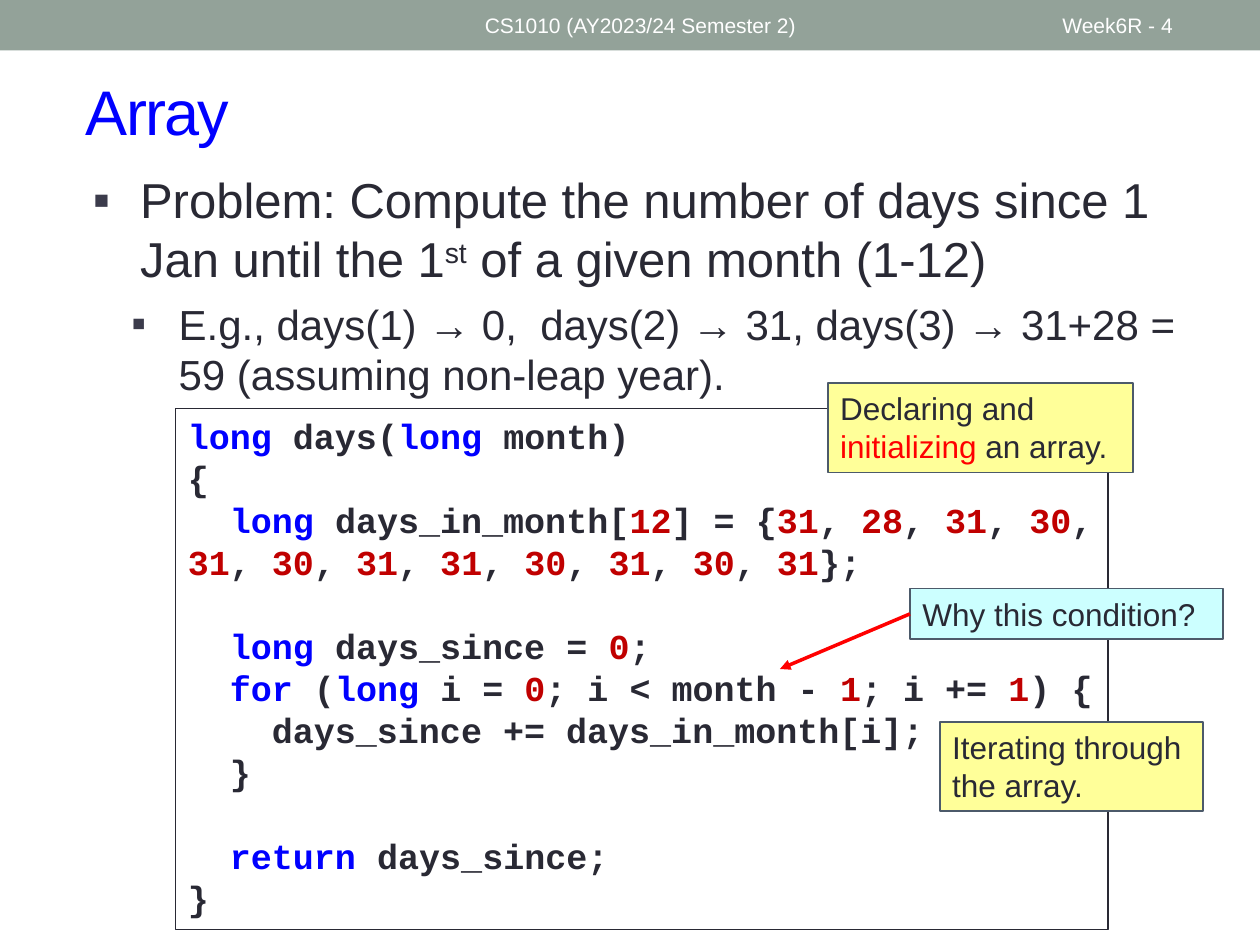
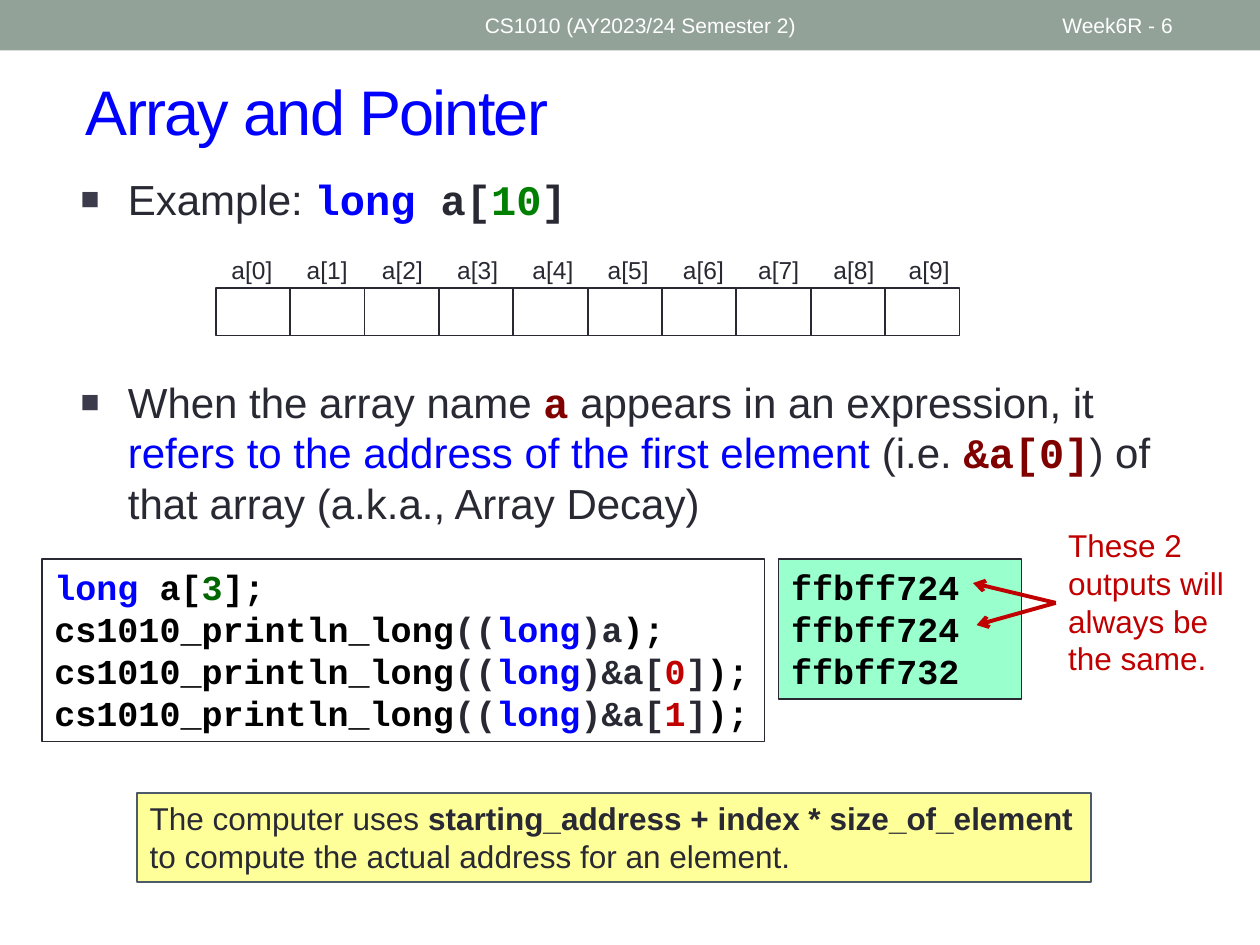
import pptx
import pptx.dml.color
import pptx.enum.shapes
import pptx.enum.text
import pptx.oxml
import pptx.oxml.ns
import pptx.util
from lxml import etree

Pt = pptx.util.Pt
qn = pptx.oxml.ns.qn
SHAPE = pptx.enum.shapes.MSO_SHAPE
ANCHOR = pptx.enum.text.MSO_ANCHOR
ALIGN = pptx.enum.text.PP_ALIGN

COLORS = {
    "band": "93A299", "white": "FFFFFF", "black": "000000", "ink": "292934",
    "bullet": "3B3B4B", "blue": "0000FF", "red": "FF0000", "crimson": "C00000",
    "maroon": "800000", "green": "008000", "dark green": "006600",
    "yellow": "FFFF99", "cyan": "CCFFFF", "mint": "99FFCC", "slate": "4C5A6A",
}

# Base formats of whole text blocks
TITLE = {"name": "Arial", "size": 36, "color": "blue", "spc": -100}
HEADER = {"name": "Arial", "size": 12, "color": "white"}
BODY = {"name": "Arial", "size": 24, "color": "ink"}
NOTE = {"name": "Arial", "size": 18, "color": "ink"}
LABEL = {"name": "Arial", "size": 14, "color": "ink"}
CODE = {"name": "Courier New", "size": 20, "bold": True, "color": "ink"}
MONO = {"name": "Courier New", "bold": True}

# Formats of marked runs: "key~text" between "|" signs
MARKS = {
    "k": {"color": "blue"}, "n": {"color": "crimson"}, "r": {"color": "red"},
    "g": {"color": "dark green"}, "x": {"color": "black"},
    "b": {"bold": True}, "sup": {"baseline": 30000},
    "mk": {**MONO, "color": "blue"}, "md": MONO,
    "mg": {**MONO, "color": "green"}, "mm": {**MONO, "color": "maroon"},
}
CODE_LINE = 24


def rgb(name):
    return pptx.dml.color.RGBColor.from_string(COLORS[name])


class Deck:
    """Holds the shared style and the current slide."""

    def __init__(self):
        self.prs = pptx.Presentation()
        self.prs.slide_width, self.prs.slide_height = Pt(720), Pt(540)
        self.s = None

    def slide(self, title, number):
        self.s = self.prs.slides.add_slide(self.prs.slide_layouts[6])
        self.box((0, 0, 720, 28.8), fill="band")
        self.text((42, 30.2, 660, 66.2), [title], TITLE, anchor=ANCHOR.MIDDLE)
        for at, words in (((270, 1.4, 324, 26), "CS1010 (AY2023/24 Semester 2)"),
                          ((600, 1.4, 84, 26), f"Week6R - {number}")):
            self.text(at, [words], HEADER, anchor=ANCHOR.MIDDLE)

    def runs(self, p, marked, base):
        for part in marked.split("|"):
            key, tilde, words = part.rpartition("~")
            r = p.add_run()
            r.text = words
            fmt = {**base, **MARKS.get(key, {})}
            r.font.color.rgb = rgb(fmt.pop("color"))
            r.font.size = Pt(fmt.pop("size"))
            for name in ("spc", "baseline"):
                if name in fmt:
                    r._r.get_or_add_rPr().set(name, str(fmt.pop(name)))
            for name, value in fmt.items():
                setattr(r.font, name, value)

    def fill_text(self, sp, lines, base, anchor=ANCHOR.TOP, align=ALIGN.LEFT, wrap=True):
        tf = sp.text_frame
        for name, value in {"word_wrap": wrap, "vertical_anchor": anchor}.items():
            setattr(tf, name, value)
        gap = 0
        p = None
        for line in lines:
            if not line:
                gap += CODE_LINE
                continue
            p = tf.add_paragraph() if p is not None else tf.paragraphs[0]
            p.alignment = align
            if gap:
                p.space_before = Pt(gap)
            gap = 0
            self.runs(p, line, base)

    def text(self, at, lines, base, **layout):
        sp = self.s.shapes.add_textbox(*map(Pt, at))
        self.fill_text(sp, lines, base, **layout)
        return sp

    def box(self, at, lines=(), base=NOTE, fill=None, line=None, width=1):
        sp = self.s.shapes.add_shape(SHAPE.RECTANGLE, *map(Pt, at))
        sp.shadow.inherit = False
        if fill:
            sp.fill.solid()
            sp.fill.fore_color.rgb = rgb(fill)
        else:
            sp.fill.background()
        if line:
            sp.line.color.rgb = rgb(line)
            sp.line.width = Pt(width)
        else:
            sp.line.fill.background()
        if lines:
            self.fill_text(sp, lines, base)
        return sp

    def note(self, at, words, fill="yellow"):
        return self.box(at, [words], fill=fill, line="slate")

    def code(self, at, lines, fill=None, base=CODE):
        return self.box(at, lines, base, fill=fill, line="ink", width=0.75)

    def bullets(self, at, items, char, percent=100):
        """Each item is (left margin, size, marked text)."""
        sp = self.s.shapes.add_textbox(*map(Pt, at))
        tf = sp.text_frame
        tf.word_wrap = True
        for i, (margin, size, marked) in enumerate(items):
            p = tf.add_paragraph() if i else tf.paragraphs[0]
            pPr = p._p.get_or_add_pPr()
            pPr.set("marL", str(Pt(margin)))
            pPr.set("indent", str(Pt(-27)))
            color = etree.SubElement(pPr, qn("a:buClr"))
            etree.SubElement(color, qn("a:srgbClr")).set("val", COLORS["bullet"])
            etree.SubElement(pPr, qn("a:buSzPct")).set("val", str(percent * 1000))
            etree.SubElement(pPr, qn("a:buFont")).set("typeface", "Arial")
            etree.SubElement(pPr, qn("a:buChar")).set("char", char)
            if i:
                p.space_before = Pt(6)
            self.runs(p, marked, {**BODY, "size": size})

    def arrow(self, sp, end, color, width, head):
        """Arrow from the middle of the left side of sp."""
        c = self.s.shapes.add_connector(
            pptx.enum.shapes.MSO_CONNECTOR.STRAIGHT, 0, 0, *map(Pt, end))
        c.begin_connect(sp, 1)
        c.line.color.rgb = rgb(color)
        c.line.width = Pt(width)
        etree.SubElement(c.line._get_or_add_ln(), qn("a:tailEnd")).set("type", head)
        etree.SubElement(c._element.spPr, qn("a:effectLst"))


def array_slide(d):
    d.slide("Array", 4)
    d.bullets((46, 93.6, 653, 416), [
        (27, 28, "Problem: Compute the number of days since 1 Jan until the 1"
                 "|sup~st| of a given month (1-12)"),
        (49, 24, "E.g., days(1) → 0,  days(2) → 31, days(3) → 31+28 = 59 "
                 "(assuming non-leap year)."),
    ], "▪")

    # Program
    month_days = "|,|".join(f"n~ {n}" for n in
                            (28, 31, 30, 31, 30, 31, 31, 30, 31, 30, 31))
    d.code((100.2, 233.3, 533, 298), [
        "k~long| days(|k~long |month)",
        "{",
        "  |k~long |days_in_month[|n~12|] = {|n~31|,|" + month_days + "|};",
        "",
        "  |k~long |days_since = |n~0|;",
        "  |k~for| (|k~long |i = |n~0|; i < month - |n~1|; i += |n~1|) {",
        "    days_since += days_in_month[i];",
        "  }",
        "",
        "  |k~return |days_since;",
        "}",
    ])

    # Notes on the program
    d.note((473, 219, 174.4, 51), "Declaring and |r~initializing| an array.")
    d.note((537, 412.4, 150.5, 51), "Iterating through the array.")
    why = d.note((520, 336.3, 179, 29), "Why this condition?", "cyan")
    d.arrow(why, (445.7, 382.3), "red", 2, "triangle")


def pointer_slide(d):
    d.slide("Array and Pointer", 6)
    d.bullets((39, 95.8, 640, 52.6),
              [(27, 24, "Example: |mk~long |md~a[|mg~10|md~]")], "■", 75)
    d.bullets((39, 211.5, 640, 96), [
        (27, 24, "When the array name |mm~a| appears in an expression, it "
                 "|k~refers to the address of the first element |(i.e. |mm~&a[0]"
                 "|) of that array (a.k.a., Array Decay)")], "■", 75)

    # Array cells with their labels
    for i in range(10):
        d.text((124.5 + 43 * i, 142, 39, 24.2), [f"a[{i}]"], LABEL,
               align=ALIGN.CENTER, wrap=False)
        d.box((123.3 + 42.5 * i, 164.7, 42.5, 27), line="ink")

    # Program and output
    call = "x~cs1010_println_long|((|k~long|)"
    d.code((24, 319.5, 412.8, 104.2),
           ["k~long|x~ a[|g~3|x~];", call + "a|x~);"]
           + [f"{call}&a[|n~{i}|]|x~);" for i in range(2)], "white")
    d.code((445, 319.5, 138.8, 80), ["ffbff724", "ffbff724", "ffbff732"], "mint",
           {**CODE, "color": "black"})
    same = d.text((603.3, 297, 104.4, 95), ["These 2 outputs will always be the same."],
                  {**NOTE, "color": "crimson"})
    for end in ((556, 333.2), (558, 357.2)):
        d.arrow(same, end, "crimson", 2.25, "arrow")

    d.note((78.5, 453, 545, 51),
           "The computer uses |b~starting_address + index * size_of_element"
           "| to compute the actual address for an element.")


def main():
    d = Deck()
    array_slide(d)
    pointer_slide(d)
    d.prs.save("out.pptx")


if __name__ == "__main__":
    main()
